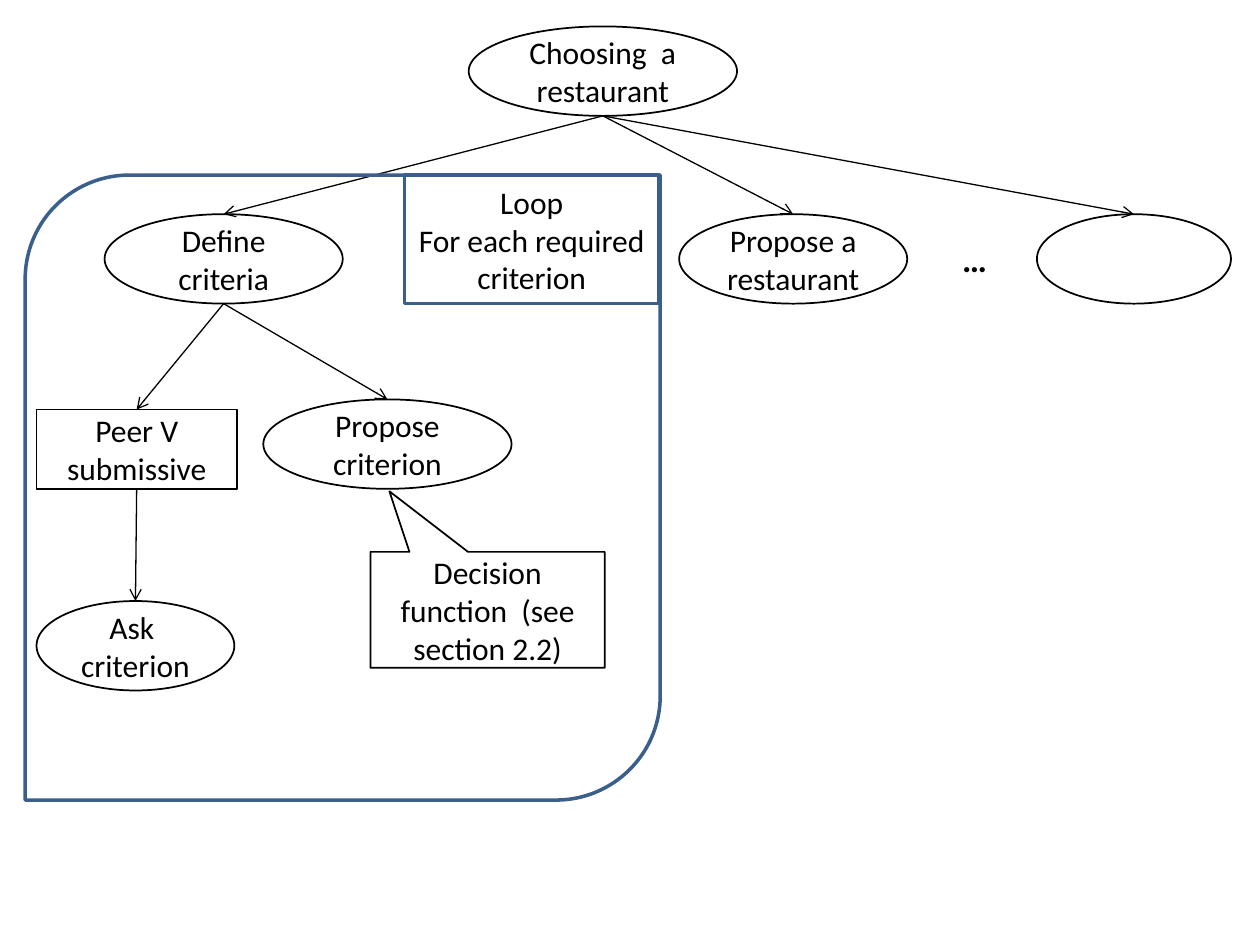
"""Draw the task tree for choosing a restaurant."""
from dataclasses import dataclass

from lxml import etree
from pptx import Presentation
from pptx import util as u
from pptx.dml.color import RGBColor
from pptx.enum import shapes, text
from pptx.oxml.ns import qn

BLACK = RGBColor(0x00, 0x00, 0x00)
WHITE = RGBColor(0xFF, 0xFF, 0xFF)
BLUE = RGBColor(0x3A, 0x5F, 0x8C)
FONT = "Calibri"
WIDE, HIGH = u.Inches(10), u.Inches(7.5)
COLS, ROWS = 100, 75
OVAL_H = 7.1
TASK_Y = 17
LOOP_Y = 13.9
KIND = shapes.MSO_SHAPE


@dataclass(frozen=True)
class Node:
    """A box placed in columns and rows of the slide grid."""
    x: float
    y: float
    w: float
    h: float = OVAL_H
    words: str = ""
    kind: KIND = KIND.OVAL
    line: RGBColor = BLACK
    weight: float = 1
    size: float = 18
    bold: bool = False
    adjust: tuple[float, ...] = ()

    @property
    def top(self) -> tuple[float, float]:
        return self.x + self.w / 2, self.y

    @property
    def foot(self) -> tuple[float, float]:
        return self.x + self.w / 2, self.y + self.h


ROOT = Node(37.2, 2.1, 21.3, words="Choosing  a restaurant")
DEFINE = Node(8.3, TASK_Y, 18.9, words="Define criteria")
OFFER = Node(53.9, TASK_Y, 18.1, words="Propose a restaurant")
LAST = Node(82.3, TASK_Y, 15.4)
PEER = Node(2.9, 32.5, 15.9, 6.3, "Peer V submissive", KIND.RECTANGLE)
PICK = Node(20.9, 31.7, 19.7, words="Propose criterion")
ASK = Node(2.9, 47.7, 15.7, words="Ask \ncriterion")
NOTE = Node(29.4, 43.8, 18.6, 9.2, "Decision function  (see section 2.2)",
            KIND.RECTANGULAR_CALLOUT, adjust=(-0.419, -1.023))
FRAME = Node(2, LOOP_Y, 50.4, 49.6, "", KIND.ROUND_2_DIAG_RECTANGLE, BLUE, 2)
LOOP = Node(32.1, LOOP_Y, 20.2, 10.2, "Loop\nFor each required criterion",
            KIND.RECTANGLE, BLUE, 2)
DOTS = Node(73.4, 18, 7.9, 5.1, "…", KIND.RECTANGLE, WHITE, 2, 20, True)

NODES = (ROOT, DEFINE, OFFER, PEER, PICK, ASK, NOTE, FRAME, LOOP, LAST, DOTS)
LINKS = ((ROOT, DEFINE), (ROOT, OFFER), (ROOT, LAST),
         (DEFINE, PEER), (DEFINE, PICK), (PEER, ASK))


def col(n: float) -> int:
    return round(WIDE * n / COLS)


def row(n: float) -> int:
    return round(HIGH * n / ROWS)


def write(shape, words: str, *, size: float = 18, bold: bool = False,
          color: RGBColor = BLACK) -> None:
    frame = shape.text_frame
    frame.word_wrap = True
    frame.vertical_anchor = text.MSO_ANCHOR.MIDDLE
    frame.text = words
    for para in frame.paragraphs:
        para.alignment = text.PP_ALIGN.CENTER
        font = para.font
        for run in para.runs:
            font = run.font
            font.name, font.size, font.bold = FONT, u.Pt(size), bold
            font.color.rgb = color


def draw(slide, node: Node) -> None:
    shape = slide.shapes.add_shape(
        node.kind, col(node.x), row(node.y), col(node.w), row(node.h))
    shape.shadow.inherit = False
    shape.fill.background()
    shape.line.color.rgb = node.line
    shape.line.width = u.Pt(node.weight)
    for i, value in enumerate(node.adjust):
        shape.adjustments[i] = value
    if node.words:
        write(shape, node.words, size=node.size, bold=node.bold)


def link(slide, start: Node, end: Node) -> None:
    (x1, y1), (x2, y2) = start.foot, end.top
    line = slide.shapes.add_connector(
        shapes.MSO_CONNECTOR.STRAIGHT, col(x1), row(y1), col(x2), row(y2))
    line.line.color.rgb = BLACK
    line.line.width = u.Pt(0.75)
    props = line.line._get_or_add_ln()
    etree.SubElement(props, qn("a:tailEnd"), type="arrow")
    etree.SubElement(props.getparent(), qn("a:effectLst"))


def main() -> None:
    deck = Presentation()
    deck.slide_width, deck.slide_height = WIDE, HIGH
    slide = deck.slides.add_slide(deck.slide_layouts[6])
    for start, end in LINKS:
        link(slide, start, end)
    for node in NODES:
        draw(slide, node)
    deck.save("out.pptx")


main()
